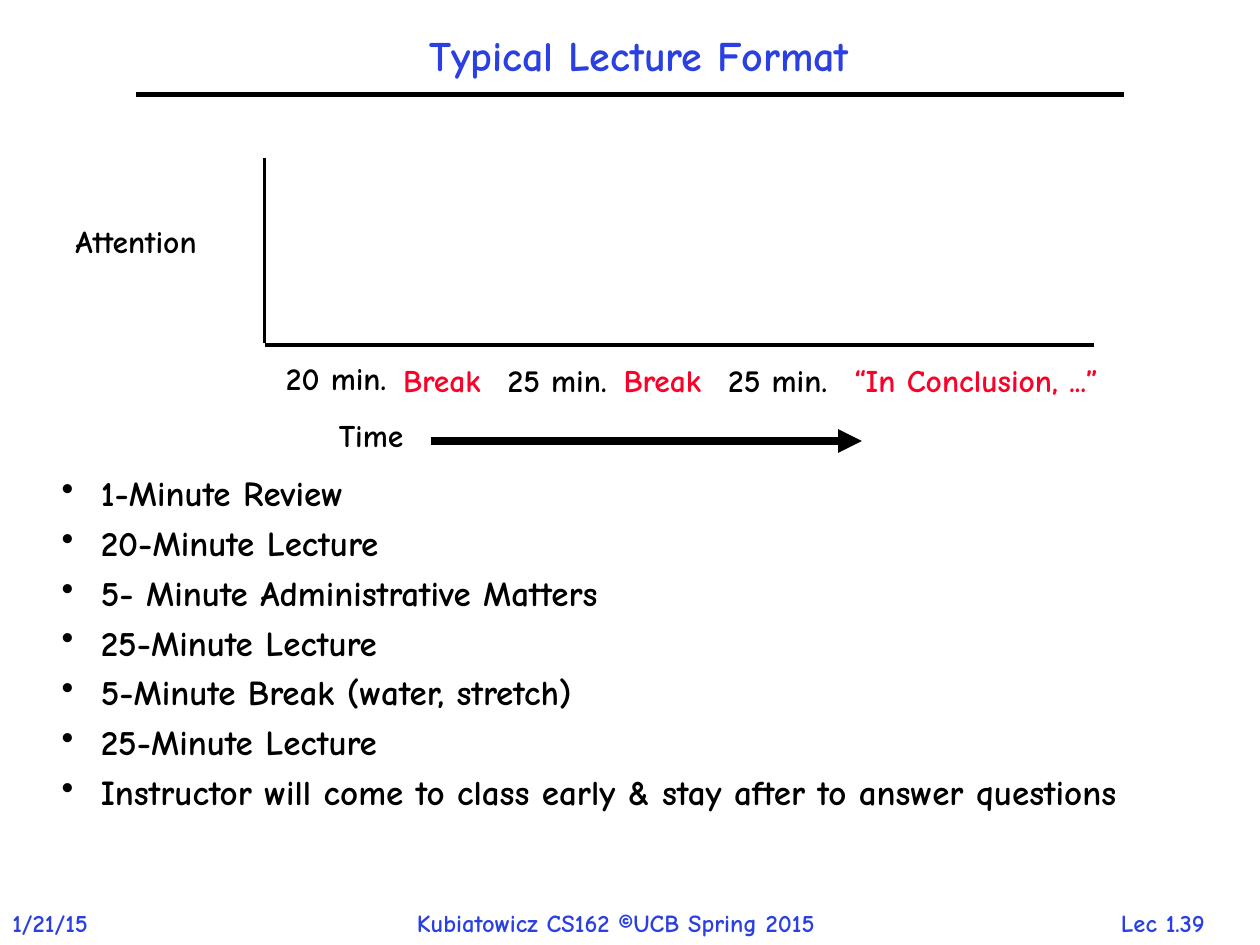
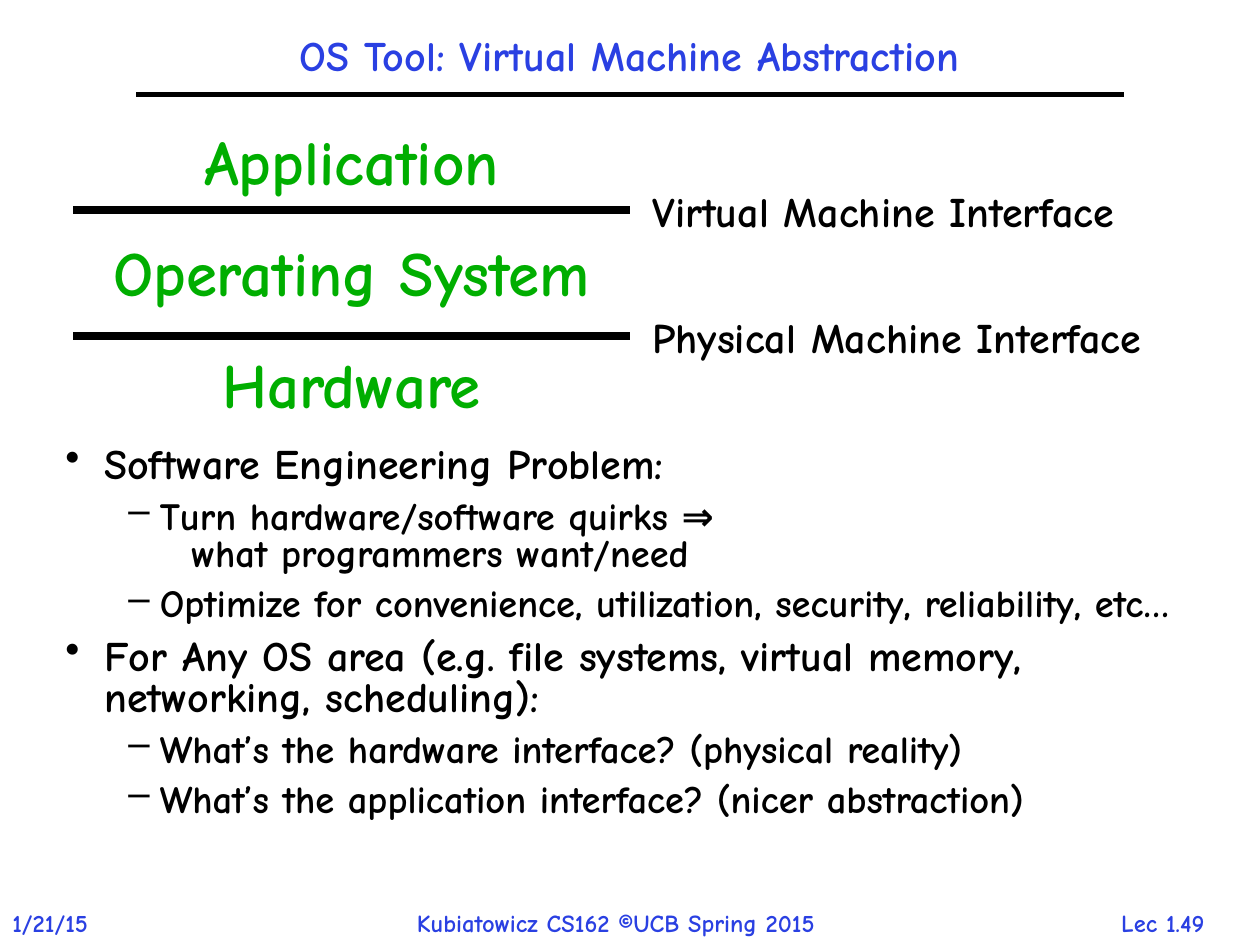
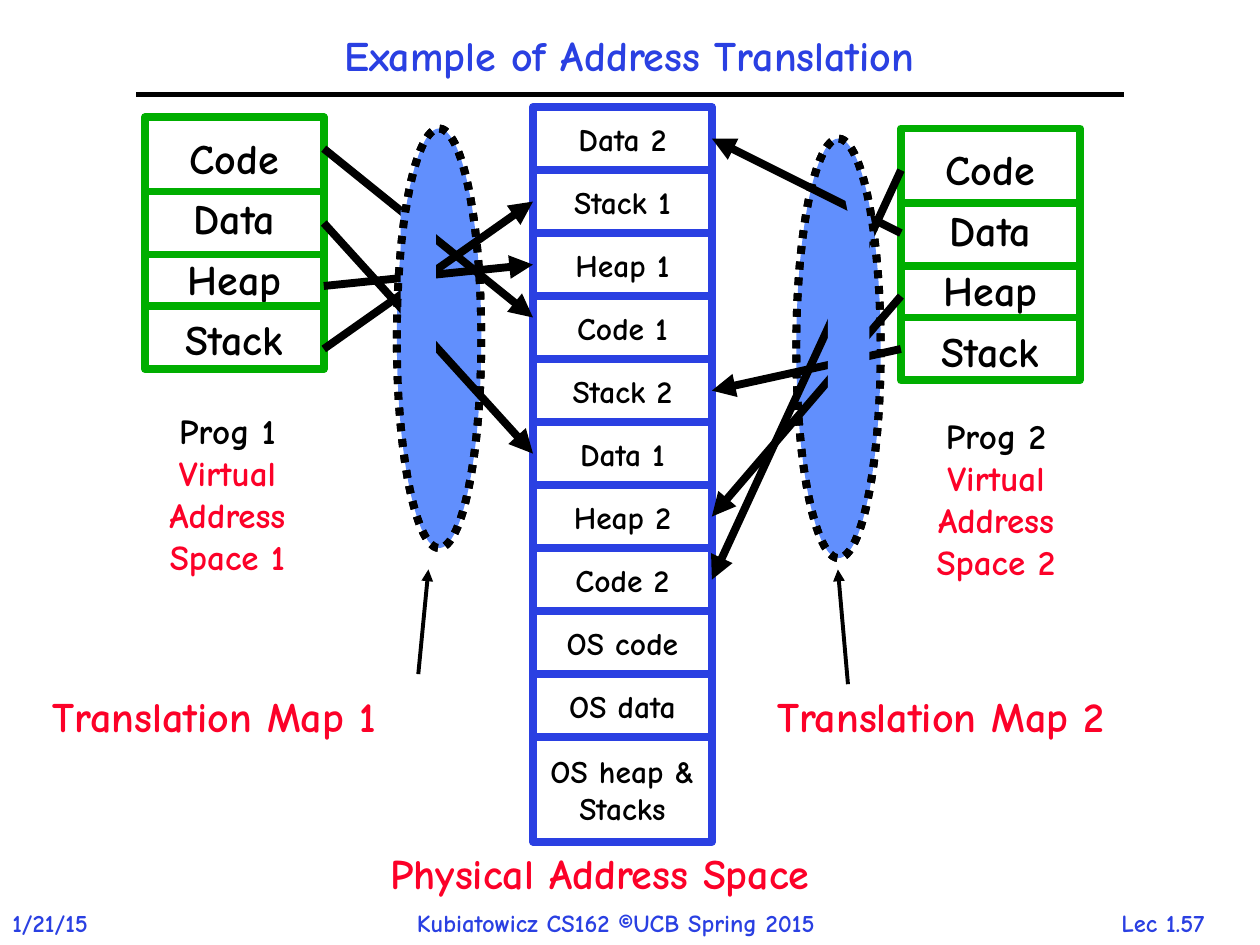
from lxml.etree import SubElement
from pptx import Presentation
from pptx.dml.color import RGBColor
from pptx.enum.dml import MSO_LINE
from pptx.enum.shapes import MSO_CONNECTOR, MSO_SHAPE
from pptx.enum.text import MSO_ANCHOR, PP_ALIGN
from pptx.oxml.ns import qn
from pptx.util import Inches, Pt

COLORS = {
    "ink": "000000",
    "paper": "FFFFFF",
    "blue": "2A40E2",
    "red": "FC0128",
    "green": "00AE00",
    "map": "618FFD",
}
FONT = "Comic Neue"
LINE_HEIGHT = 1.15  # natural line height of the font, in ems
WIDE_INSETS = (0.1, 0.05)
TIGHT_INSETS = (0.07, 0.03)
FULL_TITLE = (1.08, 0.17, 7.83, 0.58)

# level: (left margin, hanging indent, bullet)
BULLET_LEVELS = {
    0: (0.31, 0.31, "•"),
    1: (0.75, 0.25, "–"),
    "continued": (1.0, 0, None),
}
MEMORY_WIDTH = 1.42
MEMORY_CELL = 0.5
PROGRAM_SEGMENTS = ["Code", "Data", "Heap", "Stack"]
PHYSICAL_CELLS = ["Data 2", "Stack 1", "Heap 1", "Code 1", "Stack 2", "Data 1",
                  "Heap 2", "Code 2", "OS code", "OS data"]


def rgb(color):
    return RGBColor.from_string(COLORS[color])


def style_paragraph(paragraph, size, color, align=PP_ALIGN.LEFT, spacing=None, gap=0):
    """Format one paragraph; gap is the space before, as a share of a line."""
    paragraph.alignment = align
    if spacing:
        paragraph.line_spacing = spacing
    paragraph.space_before = Pt(round(gap * size * LINE_HEIGHT, 1))
    font = paragraph.font
    font.name, font.size, font.bold = FONT, Pt(size), True
    font.color.rgb = rgb(color)


def prepare_frame(shape, anchor=MSO_ANCHOR.TOP, insets=WIDE_INSETS):
    frame = shape.text_frame
    frame.word_wrap = True
    frame.vertical_anchor = anchor
    frame.margin_left = frame.margin_right = Inches(insets[0])
    frame.margin_top = frame.margin_bottom = Inches(insets[1])
    return frame


def write_lines(frame, lines, size, colors, gap=0, **style):
    """Write one paragraph per line; colors is one name or one per line."""
    if isinstance(colors, str):
        colors = [colors] * len(lines)
    frame.text = "\n".join(lines)
    for index, (paragraph, color) in enumerate(zip(frame.paragraphs, colors)):
        style_paragraph(paragraph, size, color, gap=gap if index else 0, **style)


def add_label(slide, box, lines, size, colors="ink", anchor=MSO_ANCHOR.TOP, **style):
    label = slide.shapes.add_textbox(*map(Inches, box))
    write_lines(prepare_frame(label, anchor), lines, size, colors, **style)


def add_block(slide, kind, box, fill=None, outline=None):
    block = slide.shapes.add_shape(kind, *map(Inches, box))
    block.shadow.inherit = False
    if fill:
        block.fill.solid()
        block.fill.fore_color.rgb = rgb(fill)
    else:
        block.fill.background()
    if outline:
        block.line.color.rgb = rgb(outline)
        block.line.width = Pt(4.5)
    else:
        block.line.fill.background()
    return block


def add_rule(slide, start, end, width, color="ink", arrow=False):
    rule = slide.shapes.add_connector(MSO_CONNECTOR.STRAIGHT, *map(Inches, start + end))
    rule.line.color.rgb = rgb(color)
    rule.line.width = Pt(width)
    if arrow:
        SubElement(rule.line._get_or_add_ln(), qn("a:tailEnd"), type="triangle")
    SubElement(rule._element.spPr, qn("a:effectLst"))


def add_lecture_slide(deck, title, number, title_box=FULL_TITLE):
    """Add a slide with the title, its rule and the three footers."""
    slide = deck.slides.add_slide(deck.slide_layouts[6])
    add_label(slide, (8.63, 7.16, 1.2, 0.33), [f"Lec 1.{number}"], 14, "blue",
              align=PP_ALIGN.CENTER)
    add_label(slide, (0, 7.16, 1, 0.34), ["1/21/15"], 14, "blue")
    add_label(slide, (3.21, 7.16, 3.87, 0.34),
              ["Kubiatowicz CS162 ©UCB Spring 2015"], 14, "blue")
    add_rule(slide, (1.08, 0.75), (8.92, 0.75), 3)
    add_label(slide, title_box, [title], 24, "blue", MSO_ANCHOR.MIDDLE,
              align=PP_ALIGN.CENTER, spacing=0.9)
    return slide


def add_bullets(slide, box, items, sizes, spacing, insets):
    """Add (level, text) items; sizes maps each level to its text size."""
    body = slide.shapes.add_textbox(*map(Inches, box))
    frame = prepare_frame(body, insets=insets)
    frame.text = "\n".join(text for _, text in items)
    for index, (paragraph, (level, _)) in enumerate(zip(frame.paragraphs, items)):
        margin, hanging, bullet = BULLET_LEVELS[level]
        properties = paragraph._p.get_or_add_pPr()
        properties.set("marL", str(Inches(margin)))
        properties.set("indent", str(-Inches(hanging)))
        if bullet:
            SubElement(properties, qn("a:buChar"), char=bullet)
        else:
            SubElement(properties, qn("a:buNone"))
        gap = 0.3 if index and bullet else 0
        style_paragraph(paragraph, sizes[level], "ink", spacing=spacing, gap=gap)


def add_attention_graph(slide, left, top):
    """Draw the empty attention axes with the phases of a lecture below."""
    add_rule(slide, (left, top), (left, top + 1.47), 2)
    add_rule(slide, (left, top + 1.49), (left + 6.58, top + 1.49), 2)
    add_label(slide, (left - 1.6, top + 0.46, 1.35, 0.4), ["Attention"], 18)
    phases = [
        (0.07, 1.55, 1.12, "20 min.", "ink"),
        (1.0, 1.57, 0.89, "Break", "red"),
        (1.83, 1.57, 1.12, "25 min.", "ink"),
        (2.75, 1.57, 0.89, "Break", "red"),
        (3.58, 1.57, 1.12, "25 min.", "ink"),
        (4.58, 1.57, 2.55, "“In Conclusion, ...”", "red"),
    ]
    for x, y, width, phase, color in phases:
        add_label(slide, (left + x, top + y, width, 0.4), [phase], 18, color)
    add_label(slide, (left + 0.49, top + 2, 0.78, 0.4), ["Time"], 18)
    add_rule(slide, (left + 1.32, top + 2.25), (left + 4.74, top + 2.25), 4.5, arrow=True)


def add_machine_layers(slide, left, top):
    """Stack the three layers, with a named interface between neighbours."""
    add_label(slide, (left, top, 5.08, 2.5),
              ["Application", "Operating System", "Hardware"], 36, "green",
              align=PP_ALIGN.CENTER, gap=0.5)
    for index, interface in enumerate(["Virtual", "Physical"]):
        y = top + 0.75 + index
        add_rule(slide, (left + 0.33, y), (left + 4.75, y), 4.5)
        add_label(slide, (left + 4.83, y - 0.25, 4.62, 0.5),
                  [f"{interface} Machine Interface"], 24)


def add_map_fill(slide, left, top):
    add_map_oval(slide, left, top, "map")


def add_map_oval(slide, left, top, fill=None):
    oval = add_block(slide, MSO_SHAPE.OVAL, (left, top, 0.67, 3.33), fill, "ink")
    oval.line.dash_style = MSO_LINE.ROUND_DOT


def add_map_cover(slide, left, top, masks):
    """Hide the arrows inside the map, then redraw its dotted edge."""
    for x, y, width, height, rotation in masks:
        mask = add_block(slide, MSO_SHAPE.RECTANGLE,
                         (left + x, top + y, width, height), "map")
        mask.rotation = rotation
    add_map_oval(slide, left, top)


def add_program_memory(slide, left, top):
    memory = add_block(slide, MSO_SHAPE.RECTANGLE, (left, top, MEMORY_WIDTH, 2),
                       "paper", "green")
    write_lines(prepare_frame(memory, MSO_ANCHOR.MIDDLE), PROGRAM_SEGMENTS, 24, "ink",
                align=PP_ALIGN.CENTER, spacing=1.2)
    for divider in (0.59, 1.09, 1.5):
        add_rule(slide, (left, top + divider), (left + MEMORY_WIDTH, top + divider),
                 4.5, "green")


def add_program_caption(slide, left, top, number):
    add_label(slide, (left, top, 1.29, 1.43),
              [f"Prog {number}", "Virtual", "Address", f"Space {number}"], 20,
              ["ink", "red", "red", "red"], align=PP_ALIGN.CENTER)


def add_physical_memory(slide, left, top):
    cells = [([name], MEMORY_CELL) for name in PHYSICAL_CELLS]
    cells.append((["OS heap & ", "Stacks"], 0.83))
    for index, (lines, height) in enumerate(cells):
        cell = add_block(slide, MSO_SHAPE.RECTANGLE,
                         (left, top + index * MEMORY_CELL, MEMORY_WIDTH, height),
                         "paper", "blue")
        write_lines(prepare_frame(cell, MSO_ANCHOR.MIDDLE), lines, 18, "ink",
                    align=PP_ALIGN.CENTER)
    add_label(slide, (left - 1.23, top + 5.83, 4.01, 0.5),
              ["Physical Address Space"], 24, "red")


def add_translations(slide, program_edge, physical_edge, heights):
    for program_y, physical_y in heights:
        add_rule(slide, (program_edge, program_y), (physical_edge, physical_y),
                 4.5, arrow=True)


def add_map_caption(slide, left, top, number, pointer_start, pointer_end):
    add_label(slide, (left, top, 3.15, 0.5), [f"Translation Map {number}"], 24, "red")
    add_rule(slide, pointer_start, pointer_end, 2.25, arrow=True)


def build_lecture_format(deck):
    slide = add_lecture_slide(deck, "Typical Lecture Format", 39,
                              (3.09, 0.17, 3.96, 0.58))
    add_attention_graph(slide, 2.1, 1.25)
    agenda = [
        "1-Minute Review",
        "20-Minute Lecture",
        "5- Minute Administrative Matters",
        "25-Minute Lecture",
        "5-Minute Break (water, stretch)",
        "25-Minute Lecture",
        "Instructor will come to class early & stay after to answer questions",
    ]
    add_bullets(slide, (0.42, 3.75, 9.33, 3.06), [(0, item) for item in agenda],
                {0: 20}, 0.9, TIGHT_INSETS)


def build_virtual_machine(deck):
    slide = add_lecture_slide(deck, "OS Tool: Virtual Machine Abstraction", 49)
    add_machine_layers(slide, 0.25, 0.92)
    points = [
        (0, "Software Engineering Problem:"),
        (1, "Turn hardware/software quirks ⇒"),
        ("continued", "what programmers want/need"),
        (1, "Optimize for convenience, utilization, security, reliability, etc…"),
        (0, "For Any OS area (e.g. file systems, virtual memory, "
            "networking, scheduling):"),
        (1, "What’s the hardware interface? (physical reality)"),
        (1, "What’s the application interface? (nicer abstraction)"),
    ]
    add_bullets(slide, (0.42, 3.5, 9.33, 3.42), points,
                {0: 24, 1: 22, "continued": 22}, 0.8, WIDE_INSETS)


def build_address_translation(deck):
    slide = add_lecture_slide(deck, "Example of Address Translation", 57)
    first_map, second_map = (3.15, 1.02), (6.32, 1.1)
    add_map_fill(slide, *second_map)
    add_map_fill(slide, *first_map)
    add_program_caption(slide, 1.16, 3.2, 1)
    add_program_caption(slide, 7.26, 3.24, 2)
    add_program_memory(slide, 1.15, 0.93)
    add_program_memory(slide, 7.15, 1.02)
    add_physical_memory(slide, 4.23, 0.85)
    add_translations(slide, 2.57, 4.23,
                     [(1.18, 2.52), (1.77, 3.6), (2.27, 2.1), (2.77, 1.6)])
    add_translations(slide, 7.15, 5.65,
                     [(1.35, 4.6), (1.85, 1.1), (2.35, 4.1), (2.77, 3.1)])
    add_map_cover(slide, *first_map, [(0.03, 0.65, 0.28, 1.5, 0)])
    add_map_cover(slide, *second_map,
                  [(0.25, 0.75, 0.33, 1.58, 0), (0.41, 0.33, 0.17, 0.5, 348.5)])
    add_map_caption(slide, 0.32, 5.43, 1, (3.32, 5.35), (3.4, 4.52))
    add_map_caption(slide, 6.07, 5.43, 2, (6.73, 5.43), (6.65, 4.52))


def main():
    deck = Presentation()
    deck.slide_width, deck.slide_height = Inches(10), Inches(7.5)
    build_lecture_format(deck)
    build_virtual_machine(deck)
    build_address_translation(deck)
    deck.save("out.pptx")


if __name__ == "__main__":
    main()
